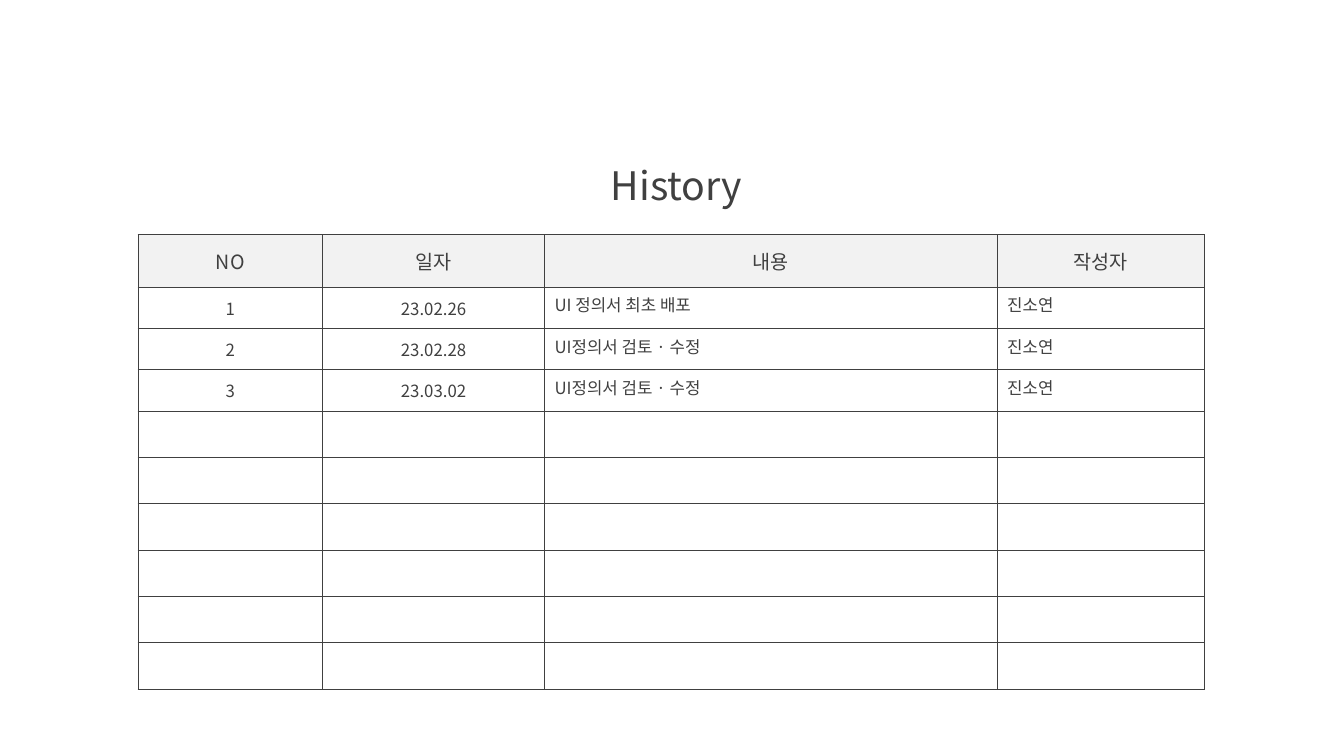
from dataclasses import dataclass

from lxml.etree import SubElement
from pptx import Presentation
from pptx.dml.color import RGBColor
from pptx.enum.text import MSO_ANCHOR, MSO_AUTO_SIZE, PP_ALIGN
from pptx.oxml.ns import qn
from pptx.util import Inches, Pt

TITLE = "History"
HEADERS = ["NO", "일자", "내용", "작성자"]
ENTRIES = [
    ("1", "23.02.26", "UI 정의서 최초 배포", "진소연"),
    ("2", "23.02.28", "UI정의서 검토 · 수정", "진소연"),
    ("3", "23.03.02", "UI정의서 검토 · 수정", "진소연"),
]
EMPTY_ROWS = 6
CENTERED_COLUMNS = (0, 1)

SLIDE_SIZE = (13.33, 7.5)
TITLE_BOX = (5.96, 1.55, 1.5, 0.57)
TABLE_CORNER = (1.37, 2.33)
COLUMN_WIDTHS = [1.83, 2.2, 4.49, 2.06]
ROW_HEIGHTS = [0.52] + [0.41] * len(ENTRIES) + [0.46] * EMPTY_ROWS


@dataclass(frozen=True)
class Theme:
    font: str = "Noto Sans CJK KR"
    ink: str = "404040"
    header_fill: str = "F2F2F2"
    body_fill: str = "FFFFFF"
    title_size: int = 28
    header_size: int = 14
    body_size: int = 12
    border_width: float = 0.75


THEME = Theme()


def format_text(frame, size, align):
    para = frame.paragraphs[0]
    para.alignment = align
    for span in para.runs:
        font = span.font
        font.size = Pt(size)
        font.color.rgb = RGBColor.from_string(THEME.ink)
        font.name = THEME.font
        SubElement(font._element, qn("a:ea"), typeface=THEME.font)


def style_cell(cell, fill):
    """Draw the four borders of a cell, then its fill."""
    properties = cell._tc.get_or_add_tcPr()
    for side in ("lnL", "lnR", "lnT", "lnB"):
        line = SubElement(properties, qn(f"a:{side}"), w=str(Pt(THEME.border_width)))
        color = SubElement(line, qn("a:solidFill"))
        SubElement(color, qn("a:srgbClr"), val=THEME.ink)
    cell.fill.solid()
    cell.fill.fore_color.rgb = RGBColor.from_string(fill)


def add_title(page):
    box = page.shapes.title
    box.left, box.top, box.width, box.height = map(Inches, TITLE_BOX)
    frame = box.text_frame
    frame.text = TITLE
    frame.word_wrap = True
    frame.margin_right = 0
    frame.auto_size = MSO_AUTO_SIZE.SHAPE_TO_FIT_TEXT
    frame.vertical_anchor = MSO_ANCHOR.MIDDLE
    frame.paragraphs[0].line_spacing = 1.0
    format_text(frame, THEME.title_size, PP_ALIGN.LEFT)


def add_history_table(page):
    rows = [HEADERS, *ENTRIES] + [[""] * len(HEADERS)] * EMPTY_ROWS
    extent = (*TABLE_CORNER, sum(COLUMN_WIDTHS), sum(ROW_HEIGHTS))
    table = page.shapes.add_table(
        len(rows), len(HEADERS), *map(Inches, extent)
    ).table
    table.first_row = table.horz_banding = False
    for column, width in zip(table.columns, COLUMN_WIDTHS):
        column.width = Inches(width)
    for row, height in zip(table.rows, ROW_HEIGHTS):
        row.height = Inches(height)

    for row_index, values in enumerate(rows):
        is_header = row_index == 0
        size = THEME.header_size if is_header else THEME.body_size
        fill = THEME.header_fill if is_header else THEME.body_fill
        for column_index, value in enumerate(values):
            cell = table.cell(row_index, column_index)
            style_cell(cell, fill)
            if not value:
                continue
            centered = is_header or column_index in CENTERED_COLUMNS
            cell.vertical_anchor = MSO_ANCHOR.MIDDLE if centered else MSO_ANCHOR.TOP
            cell.text_frame.text = value
            align = PP_ALIGN.CENTER if centered else PP_ALIGN.LEFT
            format_text(cell.text_frame, size, align)


def main():
    deck = Presentation()
    deck.slide_width, deck.slide_height = map(Inches, SLIDE_SIZE)
    title_only = deck.slide_layouts.get_by_name("Title Only")
    page = deck.slides.add_slide(title_only)
    add_title(page)
    add_history_table(page)
    deck.save("out.pptx")


if __name__ == "__main__":
    main()
